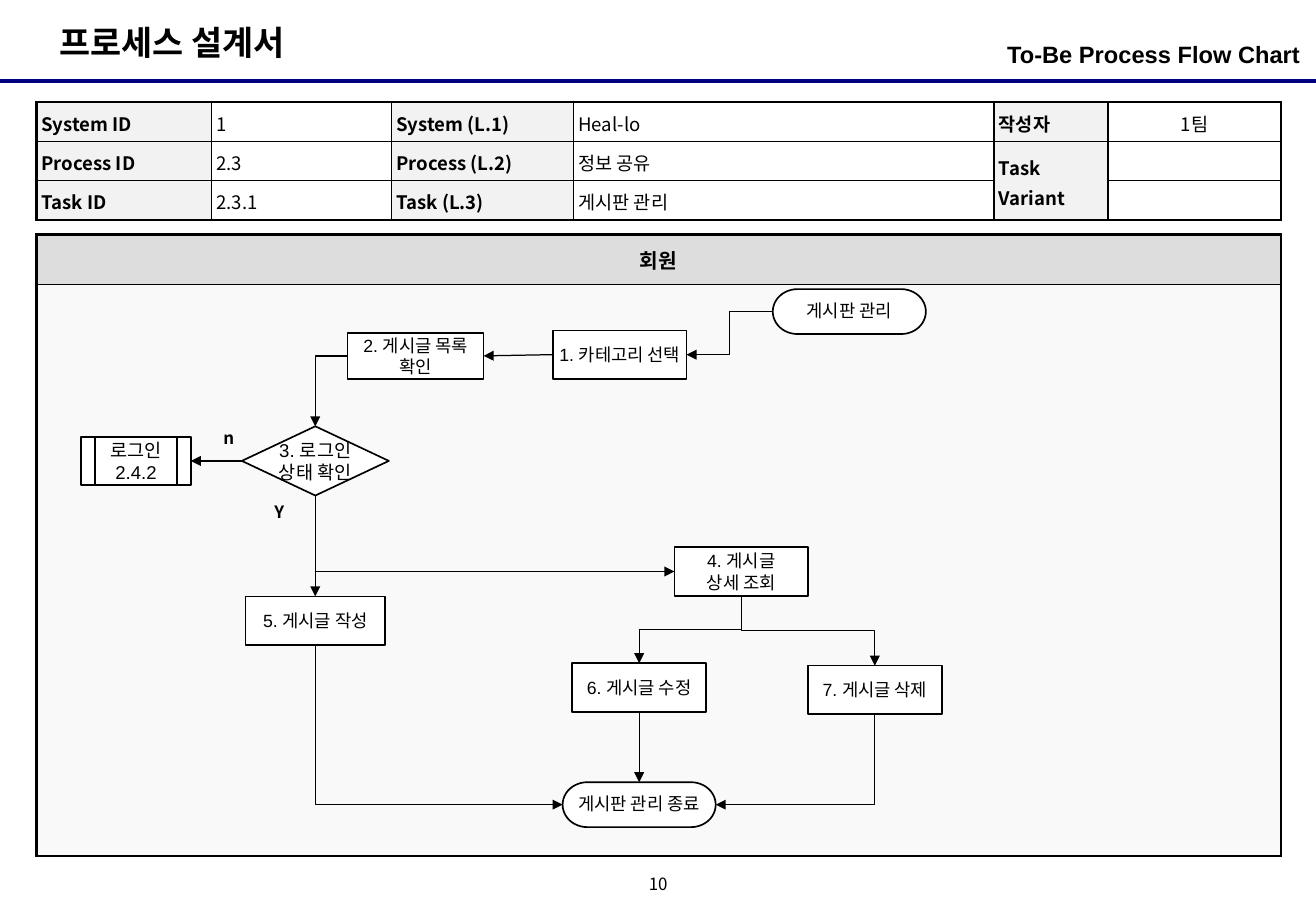
from dataclasses import dataclass

from lxml import etree
from pptx import Presentation
from pptx.dml.color import RGBColor
from pptx.enum.shapes import MSO_CONNECTOR, MSO_SHAPE
from pptx.enum.text import MSO_ANCHOR, MSO_AUTO_SIZE, PP_ALIGN
from pptx.oxml.ns import qn
from pptx.util import Inches, Pt

LEFT, CENTER, RIGHT = PP_ALIGN.LEFT, PP_ALIGN.CENTER, PP_ALIGN.RIGHT
TOP_ANCHOR, MIDDLE = MSO_ANCHOR.TOP, MSO_ANCHOR.MIDDLE
STRAIGHT, ELBOW = MSO_CONNECTOR.STRAIGHT, MSO_CONNECTOR.ELBOW
RECT, DIAMOND = MSO_SHAPE.RECTANGLE, MSO_SHAPE.FLOWCHART_DECISION
TERMINATOR = MSO_SHAPE.FLOWCHART_TERMINATOR
SUBPROCESS = MSO_SHAPE.FLOWCHART_PREDEFINED_PROCESS
TOP_SIDE, LEFT_SIDE, BOTTOM_SIDE, RIGHT_SIDE = range(4)

COLORS = {"ink": "000000", "paper": "FFFFFF", "rule": "000080",
          "label": "F2F2F2", "header": "DDDDDD", "lane": "F9F9F9"}
KOREAN, LATIN = "Noto Sans CJK KR", "Arial"
WIDTH, HEIGHT = Inches(10.83), Inches(7.5)
COL, ROW = WIDTH / 100, HEIGHT / 100  # grid of 100 columns by 100 rows
TABLE_LEFT = 2.77
STEP = (10.16, 5.33)
TERMINAL = (11.63, 4.93)


@dataclass
class Style:
    size: float
    font: str = KOREAN
    bold: bool = False
    align: int = LEFT
    spacing: float = 1.0


@dataclass
class Label:
    text: str
    area: tuple[float, float, float, float]
    style: Style
    margins: tuple[float, float] = (0.1, 0.05)
    anchor: int = TOP_ANCHOR
    wrap: bool = True


@dataclass
class Node:
    text: str
    center: tuple[float, float]
    size: tuple[float, float] = STEP
    kind: int = RECT
    points: float = 10.5
    spacing: float = 1.0


@dataclass
class Link:
    start: str
    start_side: int
    end: str
    end_side: int
    geometry: str = "line"


@dataclass
class Grid:
    top: float
    columns: list[float]
    rows: list[float]
    inner_line: float


LABELS = [
    Label("To-Be Process Flow Chart", (68.24, 3.73, 30.56, 5.2),
          Style(14, LATIN, True, RIGHT), (0, 0.05)),
    Label("10", (48.48, 95.6, 3.05, 3.33), Style(10, align=CENTER, spacing=0.8),
          (0, 0), MIDDLE, False),
    Label("n", (16.07, 46.27, 2.86, 3.47), Style(10, bold=True)),
    Label("Y", (19.94, 54.4, 4.06, 3.6), Style(10, bold=True)),
]
NODES = {
    "start": Node("게시판 관리", (64.54, 34.2), TERMINAL, TERMINATOR, spacing=0.9),
    "category": Node("1. 카테고리 선택", (47.09, 38.93)),
    "list": Node("2. 게시글 목록 확인", (31.58, 39.07), (10.34, 5.07)),
    "check": Node("3. 로그인\n상태 확인", (23.96, 50.6), (11.17, 7.6), DIAMOND, 11),
    "login": Node("로그인\n2.4.2", (10.34, 50.6), (8.31, 5.2), SUBPROCESS, 11),
    "detail": Node("4. 게시글\n상세 조회", (56.33, 62.73)),
    "write": Node("5. 게시글 작성", (23.96, 68.13), (10.62, 5.33)),
    "edit": Node("6. 게시글 수정", (48.57, 75.47)),
    "delete": Node("7. 게시글 삭제", (66.48, 75.73)),
    "end": Node("게시판 관리 종료", (48.57, 88.33), TERMINAL, TERMINATOR, spacing=0.9),
}
LINKS = [
    Link("start", LEFT_SIDE, "category", RIGHT_SIDE, "bentConnector3"),
    Link("category", LEFT_SIDE, "list", RIGHT_SIDE),
    Link("list", LEFT_SIDE, "check", TOP_SIDE, "bentConnector2"),
    Link("check", LEFT_SIDE, "login", RIGHT_SIDE),
    Link("check", BOTTOM_SIDE, "write", TOP_SIDE),
    Link("check", BOTTOM_SIDE, "detail", LEFT_SIDE, "bentConnector2"),
    Link("detail", BOTTOM_SIDE, "edit", TOP_SIDE, "bentConnector3"),
    Link("detail", BOTTOM_SIDE, "delete", TOP_SIDE, "bentConnector3"),
    Link("write", BOTTOM_SIDE, "end", LEFT_SIDE, "bentConnector2"),
    Link("edit", BOTTOM_SIDE, "end", TOP_SIDE),
    Link("delete", BOTTOM_SIDE, "end", RIGHT_SIDE, "bentConnector2"),
]
INFO = Grid(11.2, [13.3, 13.67, 13.85, 31.95, 8.68, 13.11], [4.17] * 3, 1)
INFO_TEXT = [
    ["System ID", "1", "System (L.1)", "Heal-lo", "작성자", "1팀"],
    ["Process ID", "2.3", "Process (L.2)", "정보 공유", "Task Variant", ""],
    ["Task ID", "2.3.1", "Task (L.3)", "게시판 관리", "", ""],
]
LANE = Grid(25.73, [94.55], [5.47, 62.8], 0.75)


def color(name: str) -> RGBColor:
    return RGBColor.from_string(COLORS[name])


def place(left: float, top: float, width: float, height: float) -> list[int]:
    return [round(v) for v in (left * COL, top * ROW, width * COL, height * ROW)]


def write(frame, text: str, style: Style, margins: tuple[float, float],
          anchor: int = MIDDLE, wrap: bool = True) -> None:
    side, end = (Inches(m) for m in margins)
    settings = {"margin_left": side, "margin_right": side, "margin_top": end,
                "margin_bottom": end, "vertical_anchor": anchor, "word_wrap": wrap}
    for name, value in settings.items():
        setattr(frame, name, value)
    frame.text = text
    for para in frame.paragraphs:
        para.alignment, para.line_spacing = style.align, style.spacing
        for span in para.runs:
            for name, value in {"size": Pt(style.size), "name": style.font,
                                "bold": style.bold}.items():
                setattr(span.font, name, value)
            span.font.color.rgb = color("ink")
            etree.SubElement(span._r.get_or_add_rPr(), qn("a:ea"), typeface=KOREAN)
        if not para.runs:
            para._p.get_or_add_endParaRPr().set("sz", str(style.size * 100))


def add_label(page, label: Label) -> None:
    box = page.shapes.add_textbox(*place(*label.area))
    write(box.text_frame, label.text, label.style, label.margins, label.anchor, label.wrap)


def add_node(page, node: Node):
    (x, y), (width, height) = node.center, node.size
    shape = page.shapes.add_shape(node.kind, *place(x - width / 2, y - height / 2, width, height))
    shape.shadow.inherit = False
    shape.fill.solid()
    shape.fill.fore_color.rgb = color("paper")
    shape.line.color.rgb, shape.line.width = color("ink"), Pt(1)
    write(shape.text_frame, node.text, Style(node.points, LATIN, align=CENTER, spacing=node.spacing),
          (0.02, 0), wrap=node.kind != DIAMOND)
    return shape


def style_line(line, ink: str, width: float) -> None:
    line.line.color.rgb, line.line.width = color(ink), Pt(width)
    etree.SubElement(line._element.spPr, qn("a:effectLst"))


def turn_vertical(line) -> None:
    """Rotate an elbow by 90 degrees so that it leaves vertically, ends unmoved."""
    x, y = (line.begin_x + line.end_x) // 2, (line.begin_y + line.end_y) // 2
    across, down = (line.end_x - line.begin_x) // 2, (line.end_y - line.begin_y) // 2
    line.begin_x, line.begin_y = x - down, y + across
    line.end_x, line.end_y = x + down, y - across
    line._element.spPr.xfrm.set("rot", "5400000")


def add_link(page, shapes: dict, link: Link) -> None:
    bent = link.geometry != "line"
    line = page.shapes.add_connector(ELBOW if bent else STRAIGHT, 0, 0, 0, 0)
    line.begin_connect(shapes[link.start], link.start_side)
    line.end_connect(shapes[link.end], link.end_side)
    if bent:
        line._element.spPr.find(qn("a:prstGeom")).set("prst", link.geometry)
        if link.start_side in (TOP_SIDE, BOTTOM_SIDE):
            turn_vertical(line)
    style_line(line, "ink", 0.75)
    etree.SubElement(line.line._get_or_add_ln(), qn("a:tailEnd"), type="triangle")


def format_cell(cell, fill: str | None, widths: dict[str, float]) -> None:
    props = cell._tc.get_or_add_tcPr()
    for side, width in widths.items():
        edge = etree.SubElement(props, qn(f"a:ln{side}"), w=str(Pt(width)))
        paint = etree.SubElement(edge, qn("a:solidFill"))
        etree.SubElement(paint, qn("a:srgbClr"), val=COLORS["ink"])
    if fill:
        cell.fill.solid()
        cell.fill.fore_color.rgb = color(fill)
    else:
        cell.fill.background()


def add_grid(page, grid: Grid, texts: list[list[str]], look) -> None:
    """Draw a table; look(row, column) gives each cell's fill, style and margins."""
    row_count, column_count = len(grid.rows), len(grid.columns)
    area = place(TABLE_LEFT, grid.top, sum(grid.columns), sum(grid.rows))
    table = page.shapes.add_table(row_count, column_count, *area).table
    for column, width in zip(table.columns, grid.columns):
        column.width = round(width * COL)
    for row, height in zip(table.rows, grid.rows):
        row.height = round(height * ROW)
    if column_count > 1:
        table.cell(1, 4).merge(table.cell(2, 4))
    for r, row_texts in enumerate(texts):
        for c, text in enumerate(row_texts):
            outer = {"L": c == 0, "R": c == column_count - 1,
                     "T": r == 0, "B": r == row_count - 1}
            fill, style, margins = look(r, c)
            cell = table.cell(r, c)
            write(cell.text_frame, text, style, margins)
            cell.vertical_anchor = MIDDLE
            cell.margin_left = cell.margin_right = Inches(margins[0])
            cell.margin_top = cell.margin_bottom = Inches(margins[1])
            format_cell(cell, fill, {side: 1.5 if edge else grid.inner_line
                                     for side, edge in outer.items()})


def info_look(row: int, column: int) -> tuple:
    is_label = column % 2 == 0
    style = Style(11, bold=is_label, align=CENTER if column == 5 else LEFT, spacing=1.1)
    return "label" if is_label else None, style, (0.04, 0.04)


def lane_look(row: int, column: int) -> tuple:
    return ("header", "lane")[row], Style(12, bold=True, align=CENTER), (0.1, 0.05)


def main() -> None:
    deck = Presentation()
    deck.slide_width, deck.slide_height = WIDTH, HEIGHT
    page = deck.slides.add_slide(deck.slide_layouts[5])
    title = page.shapes.title
    title.left, title.top, title.width, title.height = place(3.6, 1.73, 20.78, 5.87)
    write(title.text_frame, "프로세스 설계서", Style(20, bold=True), (0.1, 0.05), TOP_ANCHOR, False)
    title.text_frame.auto_size = MSO_AUTO_SIZE.NONE
    rule_y = round(8.93 * ROW)
    style_line(page.shapes.add_connector(STRAIGHT, 0, rule_y, WIDTH, rule_y), "rule", 2.25)
    add_grid(page, LANE, [["회원"], [""]], lane_look)
    add_grid(page, INFO, INFO_TEXT, info_look)
    shapes = {name: add_node(page, node) for name, node in NODES.items()}
    for link in LINKS:
        add_link(page, shapes, link)
    for label in LABELS:
        add_label(page, label)
    deck.save("out.pptx")


if __name__ == "__main__":
    main()
